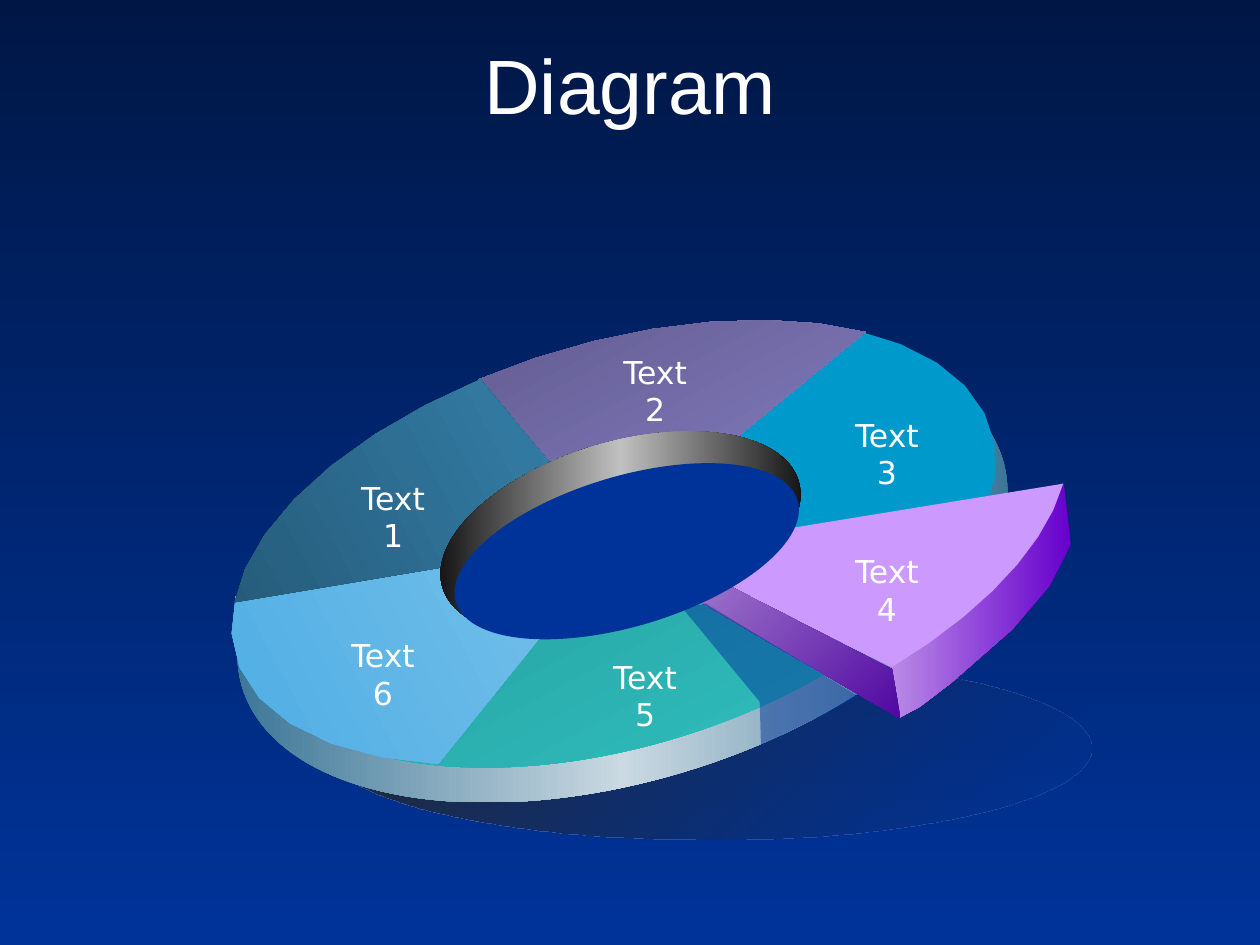
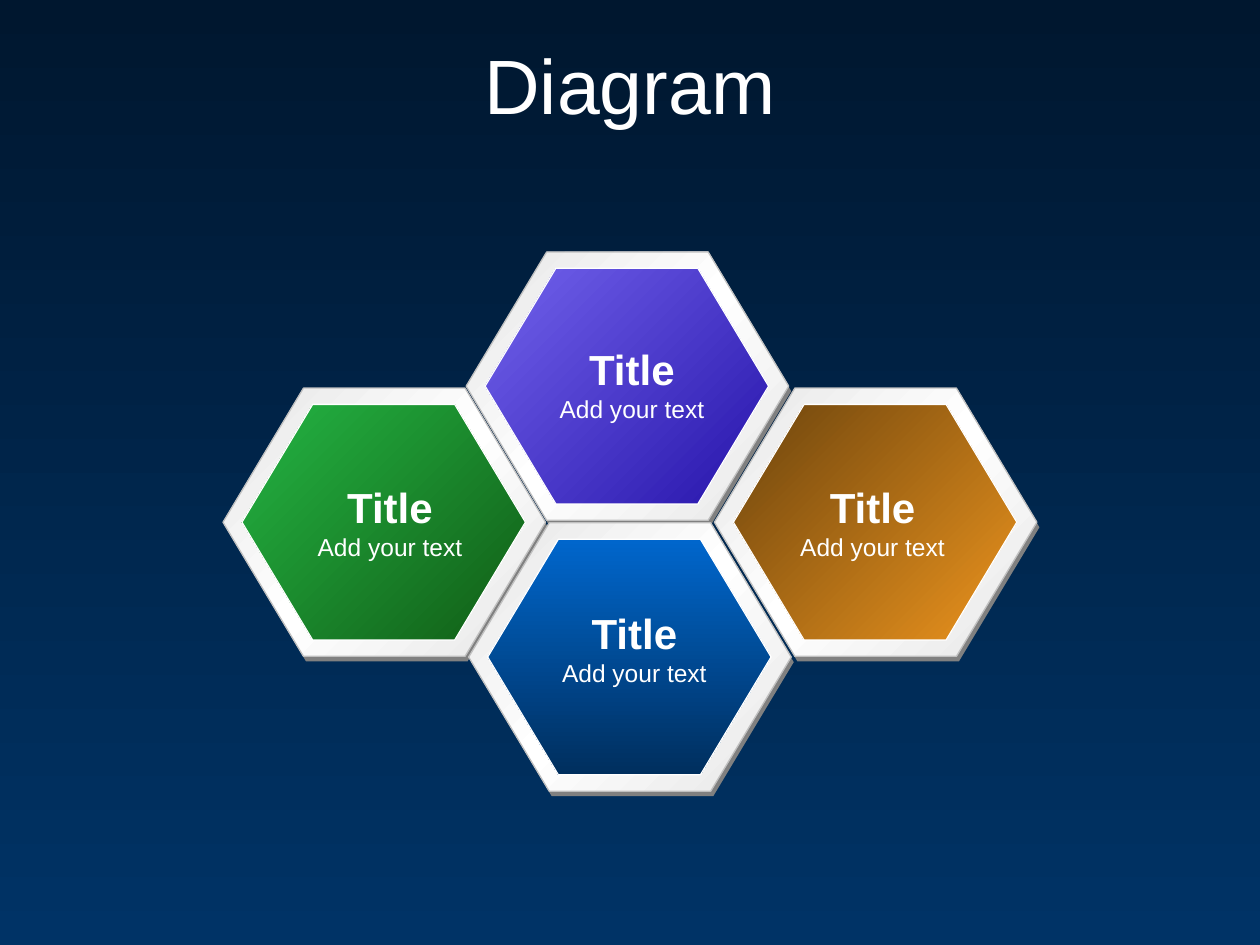
from math import cos, radians, sin

from lxml import etree
from pptx import Presentation
from pptx.dml.color import RGBColor
from pptx.enum.shapes import MSO_SHAPE
from pptx.enum.text import MSO_ANCHOR, PP_ALIGN
from pptx.oxml.ns import qn
from pptx.util import Pt

ELLIPSE, HEXAGON = MSO_SHAPE.OVAL, MSO_SHAPE.HEXAGON
CENTER = PP_ALIGN.CENTER
TOP, MIDDLE = MSO_ANCHOR.TOP, MSO_ANCHOR.MIDDLE

# The slide is a grid of 10 columns by 7.5 rows of square cells.
CELL = 914400
COLUMNS, ROWS = 10, 7.5
TILT = 343.4
SLICE_TILT = 342.3
SLICE_STEPS = 7

COLORS = {
    "white": "FFFFFF", "black": "000000", "silver": "C0C0C0", "gray": "808080",
    "pearl": "E6E6E6", "charcoal": "292929",
    "navy": "003399", "deep navy": "001746", "ocean": "003366", "deep ocean": "00172F",
    "steel": "29698D", "pale steel": "CAD9E2", "teal": "33CCCC", "dark teal": "208181",
    "cyan": "0099CC", "sky": "47ABE3", "pale sky": "AAD7F1", "slate": "204E68",
    "lavender": "AAA0F8", "dusk": "4E4972", "orchid": "CC99FF",
    "violet": "6600CC", "pale violet": "B88AE6", "plum": "5007A1", "pale plum": "AE8DD3",
    "indigo": "2614AA", "iris": "7262EC", "forest": "115D16", "green": "24B443",
    "orange": "EC941E", "brown": "6C440D", "blue": "0066CC", "dark blue": "002F5E",
}


def paint(owner, fill, names, angle=0, alpha=100):
    """Fill with one colour or an even gradient; alpha applies to the first colour."""
    fill.solid()
    fill.fore_color.rgb = RGBColor.from_string(COLORS[names[0]])
    solid = owner.find(".//" + qn("a:solidFill"))
    if alpha < 100:
        etree.SubElement(solid[0], qn("a:alpha"), val=str(alpha * 1000))
    if len(names) == 1:
        return
    gradient = etree.Element(qn("a:gradFill"), rotWithShape="0")
    stops = etree.SubElement(gradient, qn("a:gsLst"))
    for index, name in enumerate(names):
        position = 100000 * index // (len(names) - 1)
        stop = etree.SubElement(stops, qn("a:gs"), pos=str(position))
        if index == 0:
            stop.append(solid[0])
        else:
            etree.SubElement(stop, qn("a:srgbClr"), val=COLORS[name])
    etree.SubElement(gradient, qn("a:lin"), ang=str(angle * 60000), scaled="0")
    solid.getparent().replace(solid, gradient)


def add_text(slide, box, lines, font_name, wrap=True, anchor=TOP):
    """Add centred white lines, each given as (text, size, bold)."""
    frame = slide.shapes.add_textbox(*[round(v * CELL) for v in box]).text_frame
    frame.word_wrap = wrap
    frame.vertical_anchor = anchor
    for index, (text, size, bold) in enumerate(lines):
        paragraph = frame.add_paragraph() if index else frame.paragraphs[0]
        paragraph.text = text
        paragraph.alignment = CENTER
        paragraph.font.name = font_name
        paragraph.font.size = Pt(size)
        paragraph.font.bold = bold
        paragraph.font.color.rgb = RGBColor.from_string(COLORS["white"])


presentation = Presentation()
presentation.slide_width = COLUMNS * CELL
presentation.slide_height = round(ROWS * CELL)

slides = []
for background in (["deep navy", "navy"], ["deep ocean", "ocean"]):
    slide = presentation.slides.add_slide(presentation.slide_layouts[6])
    paint(slide.element, slide.background.fill, background, 90)
    add_text(slide, (0, 0.25, COLUMNS, 0.83), [("Diagram", 44, False)], "Arial", anchor=MIDDLE)
    slides.append(slide)
ring_slide, hexagon_slide = slides

# Slide 1: tilted ring with one slice pulled out.
SLICE_SIDE = [(7.08, 5.29), (8.44, 3.83), (8.5, 4.32), (8.33, 4.65), (8.03, 5),
              (7.55, 5.42), (7.3, 5.61), (7.13, 5.7)]
SLICE_FACE = [(7.08, 5.31), (7.15, 5.71), (5.34, 4.65), (5.22, 4.36)]
SLICE_SHADE = [(5.42, 4.83), (6.03, 5.57), (6.04, 5.92), (6.82, 5.53), (5.6, 4.79)]

# Each layer: kind, box or points, rotation, slice angles, colours, gradient angle, alpha
ring_layers = [
    ("ellipse", (2.58, 5.21, 6.08, 1.45), 0, None, ["navy", "charcoal"], 225, 50),
    ("ellipse", (1.79, 2.9, 6.3, 3.3), TILT, None, ["steel", "pale steel", "steel"], 180, 100),
    ("ellipse", (1.85, 2.73, 6.08, 3.2), TILT, None, ["teal", "dark teal"], 242, 100),
    ("slice", (1.76, 2.71, 6.24, 3.2), TILT, (-42, 22), ["cyan"], 0, 100),
    ("slice", (1.74, 2.74, 6.29, 3.15), TILT, (126, 197), ["sky", "pale sky"], 332, 100),
    ("slice", (1.77, 2.72, 6.21, 3.1), TILT, (257.5, 320), ["lavender", "dusk"], 242, 100),
    ("slice", (1.75, 2.73, 6.23, 3.09), TILT, (194, 258), ["slate", "sky"], 332, 100),
    ("ellipse", (3.45, 3.51, 2.95, 1.46), TILT, None, ["black", "silver", "black"], 180, 100),
    ("outline", SLICE_SIDE, 0, None, ["violet", "pale violet"], 180, 100),
    ("slice", (1.76, 2.74, 6.84, 3.26), SLICE_TILT, (17.3, 63.5), ["orchid"], 0, 100),
    ("outline", SLICE_FACE, 0, None, ["plum", "pale plum"], 225, 100),
    ("ellipse", (3.56, 3.78, 2.83, 1.19), TILT, None, ["navy"], 0, 100),
    ("outline", SLICE_SHADE, 0, None, ["navy"], 0, 49),
]
for kind, place, rotation, angles, names, gradient_angle, alpha in ring_layers:
    if kind == "ellipse":
        shape = ring_slide.shapes.add_shape(ELLIPSE, *[round(v * CELL) for v in place])
    else:
        if kind == "slice":
            left, top, width, height = place
            middle_x, middle_y = left + width / 2, top + height / 2
            start, end = angles
            turns = [radians(start + (end - start) * step / SLICE_STEPS)
                     for step in range(SLICE_STEPS + 1)]
            points = [(middle_x, middle_y)]
            points += [(middle_x + width / 2 * cos(turn), middle_y + height / 2 * sin(turn))
                       for turn in turns]
            # Both corners keep the frame of the whole ellipse, so it turns about its centre.
            corners = [(left, top), (left + width, top + height)]
        else:
            points, corners = place, []
        moves = [(x * CELL, y * CELL) for x, y in corners + points[:1]]
        builder = ring_slide.shapes.build_freeform(*moves[0])
        for move in moves[1:]:
            builder.move_to(*move)
        builder.add_line_segments([(x * CELL, y * CELL) for x, y in points[1:]], close=True)
        shape = builder.convert_to_shape()
    shape.rotation = rotation
    shape.shadow.inherit = False
    shape.line.fill.background()
    paint(shape.element, shape.fill, names, gradient_angle, alpha)

label_corners = [(2.7, 3.75), (4.78, 2.75), (6.62, 3.25), (6.62, 4.33), (4.7, 5.17), (2.62, 5)]
for number, (left, top) in enumerate(label_corners, start=1):
    add_text(ring_slide, (left, top, 0.84, 0.4), [(f"Text{number}", 18, False)], "DejaVu Sans")

# Slide 2: honeycomb of four framed hexagons.
PLATE_WIDTH, PLATE_HEIGHT = 2.56, 2.13
TILE_WIDTH, TILE_HEIGHT = 2.25, 1.87
# Each cell: plate corner, caption corner, tile colours, gradient angle
honeycomb = [
    ((3.7, 2), (4.34, 2.68), ["indigo", "iris"], 225),
    ((1.77, 3.08), (2.42, 3.77), ["forest", "green"], 225),
    ((5.67, 3.08), (6.25, 3.77), ["orange", "brown"], 225),
    ((3.72, 4.15), (4.36, 4.77), ["blue", "dark blue"], 90),
]
for (left, top), caption_corner, tile_names, tile_angle in honeycomb:
    hexagon_layers = [
        (0.02, 0.04, PLATE_WIDTH, PLATE_HEIGHT, ["gray"], 0, None),
        (0, 0, PLATE_WIDTH, PLATE_HEIGHT, ["pearl", "white", "pearl"], 225, "silver"),
        (0.15, 0.13, TILE_WIDTH, TILE_HEIGHT, tile_names, tile_angle, "white"),
    ]
    for right, down, width, height, names, gradient_angle, line_name in hexagon_layers:
        box = (left + right, top + down, width, height)
        shape = hexagon_slide.shapes.add_shape(HEXAGON, *[round(v * CELL) for v in box])
        shape.adjustments[0] = 0.3
        shape.shadow.inherit = False
        paint(shape.element, shape.fill, names, gradient_angle)
        if line_name:
            shape.line.color.rgb = RGBColor.from_string(COLORS[line_name])
            shape.line.width = Pt(0.75)
        else:
            shape.line.fill.background()
    add_text(hexagon_slide, (*caption_corner, 1.35, 0.74),
             [("Title", 24, True), ("Add your text", 14, False)], "Arial", wrap=False)

presentation.save("out.pptx")
